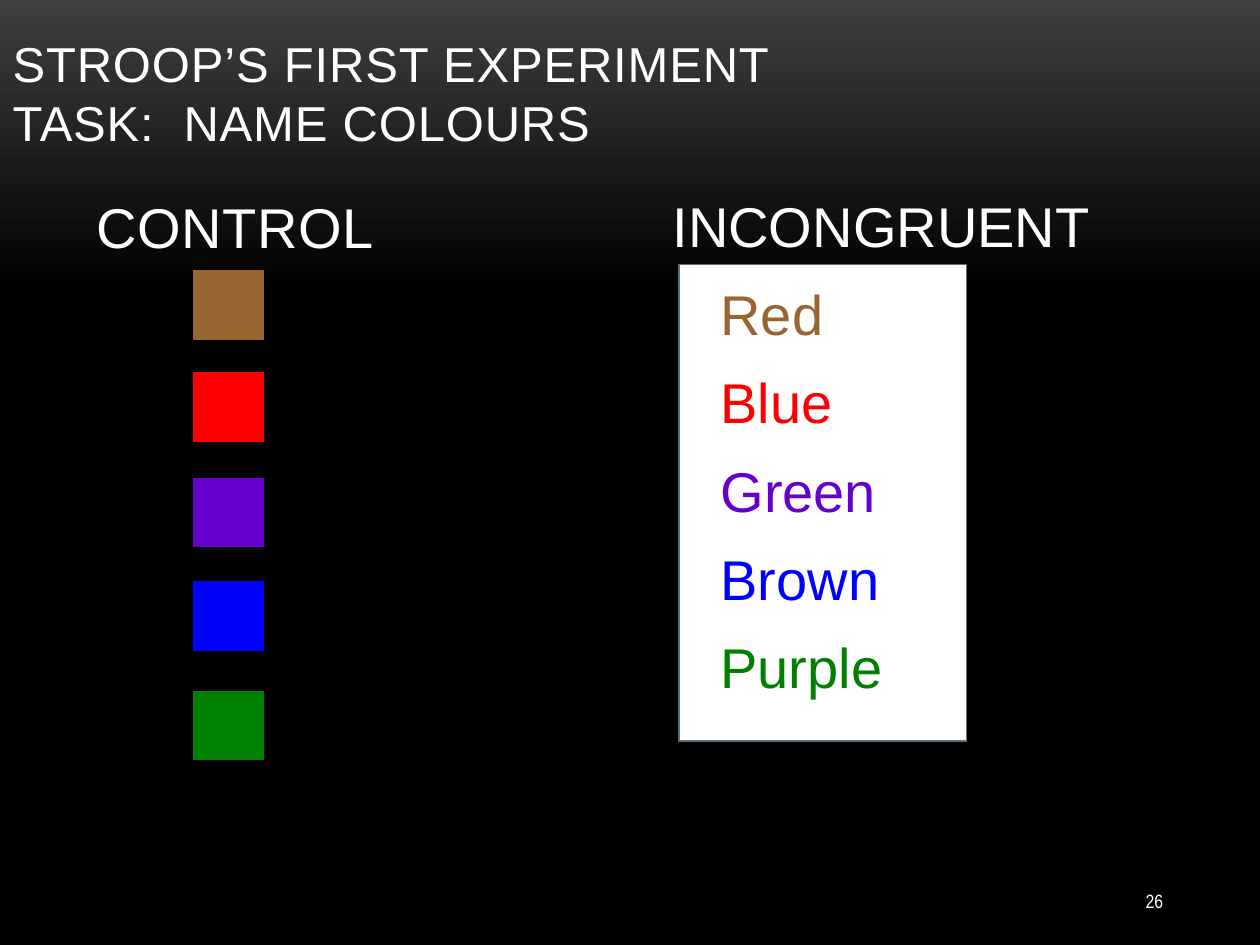
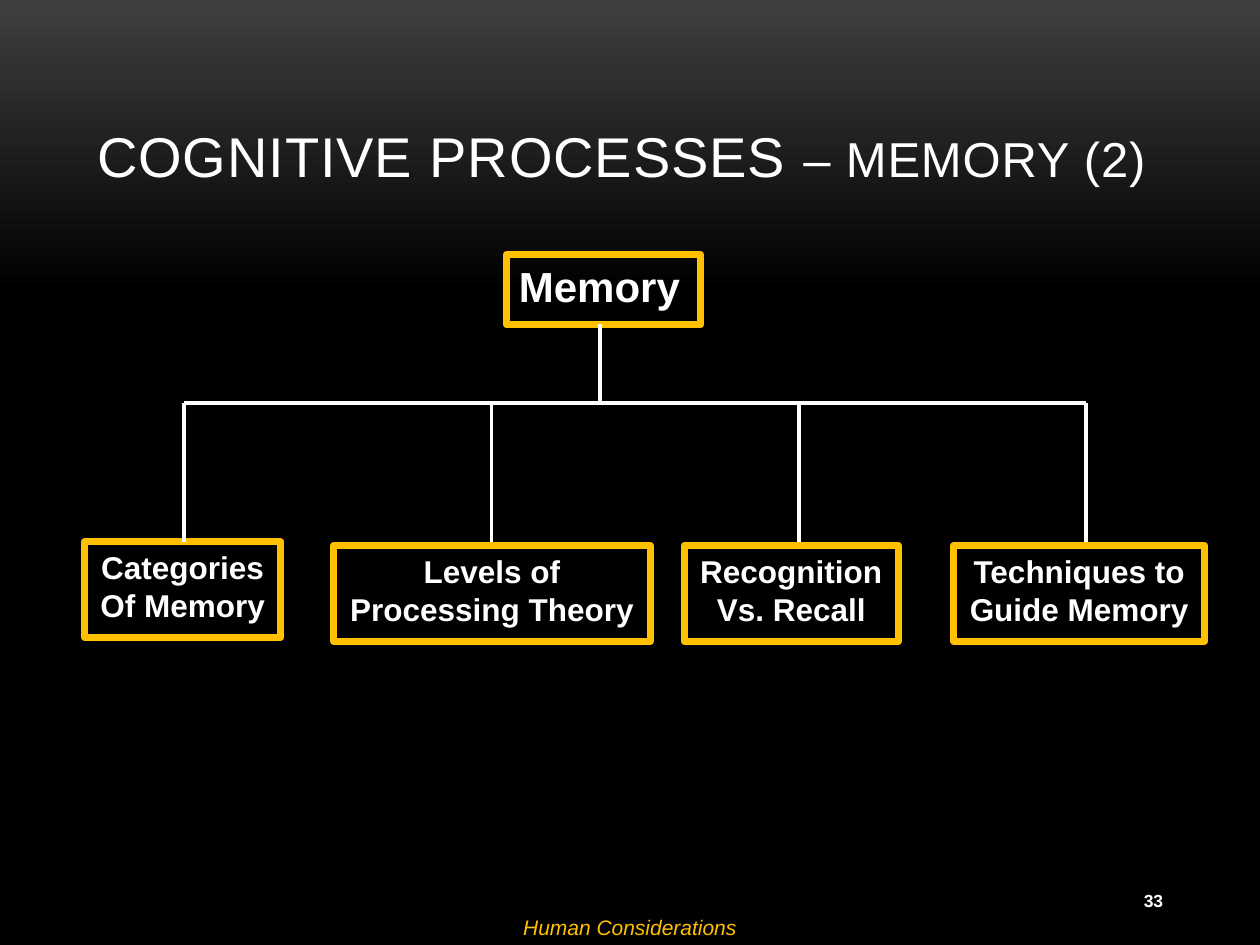
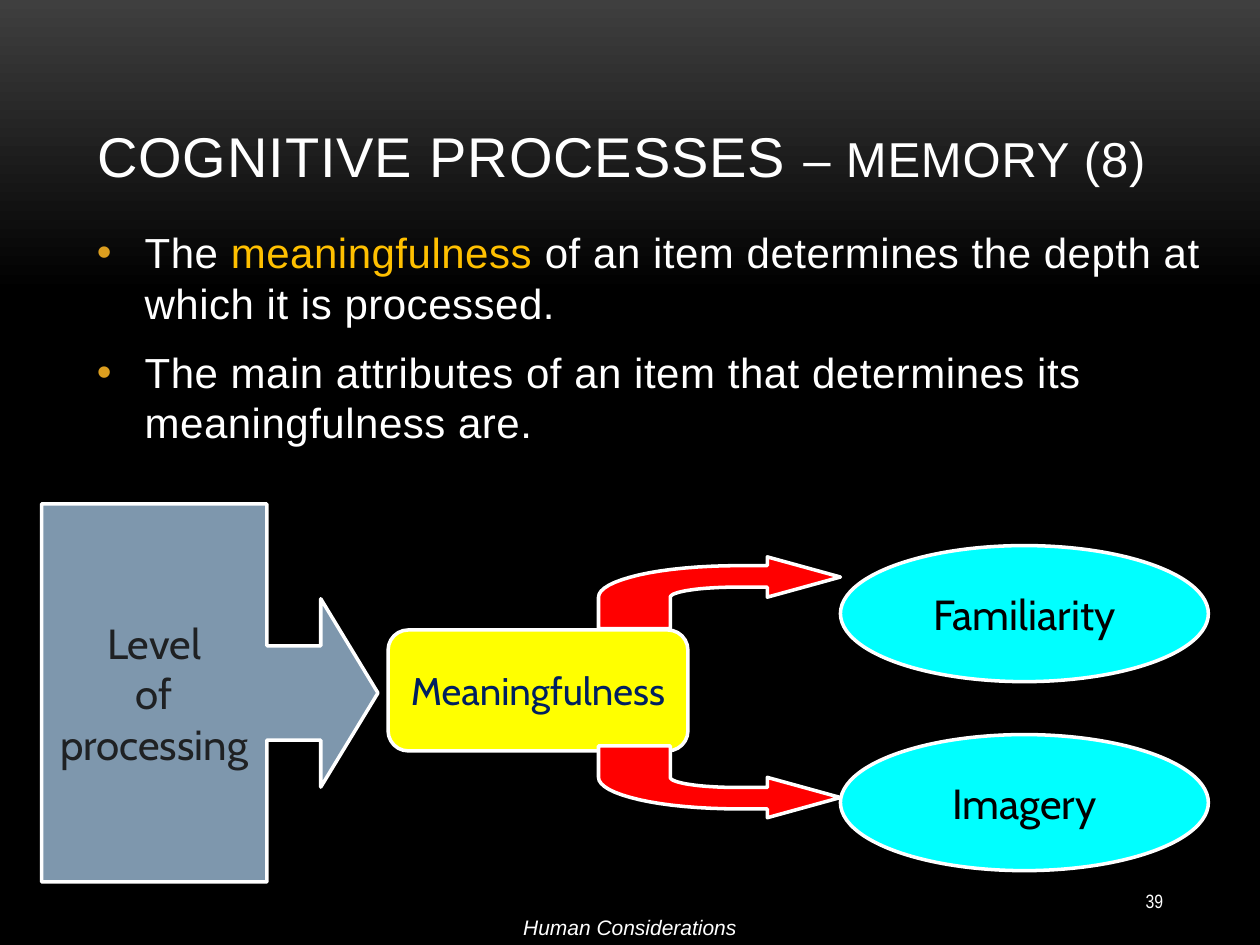
from dataclasses import dataclass
from math import cos, pi, sin
from typing import Optional

from lxml import etree
from pptx import Presentation
from pptx.dml.color import RGBColor
from pptx.enum.shapes import MSO_CONNECTOR, MSO_SHAPE
from pptx.enum.text import MSO_ANCHOR, MSO_AUTO_SIZE, PP_ALIGN
from pptx.oxml.ns import qn
from pptx.util import Inches, Pt

LEFT, CENTER, RIGHT = PP_ALIGN.LEFT, PP_ALIGN.CENTER, PP_ALIGN.RIGHT
TOP, MIDDLE, BOTTOM = MSO_ANCHOR.TOP, MSO_ANCHOR.MIDDLE, MSO_ANCHOR.BOTTOM
RECTANGLE = MSO_SHAPE.RECTANGLE
ROUNDED = MSO_SHAPE.ROUNDED_RECTANGLE
OVAL = MSO_SHAPE.OVAL
CALLOUT = MSO_SHAPE.RIGHT_ARROW_CALLOUT
STRAIGHT = MSO_CONNECTOR.STRAIGHT
TITLE_ONLY = 5

WHITE, BLACK, CHARCOAL = "FFFFFF", "000000", "3F3F3F"
GOLD, BULLET_GOLD = "FFC000", "DC9E1F"
BROWN, RED, PURPLE = "996633", "FF0000", "6600CC"
BLUE, GREEN = "0000FF", "008000"
YELLOW, CYAN, STEEL, NAVY, INK = "FFFF00", "00FFFF", "7E97AD", "002060", "1F2123"
PANEL_LINE = "5D7080"
INDENT = 0.38


@dataclass(frozen=True)
class Box:
    left: float
    top: float
    width: float
    height: float

    def lengths(self) -> tuple:
        return tuple(Inches(v) for v in (self.left, self.top, self.width, self.height))


@dataclass(frozen=True)
class Piece:
    text: str
    size: float
    color: str = WHITE
    font: str = "Arial"
    bold: bool = False
    italic: bool = False
    spacing: float = 0


@dataclass(frozen=True)
class Block:
    pieces: tuple
    align: PP_ALIGN = LEFT
    before: float = 0
    after: float = 0
    indent: float = 0
    hanging: float = 0
    bullet: Optional[str] = None


@dataclass(frozen=True)
class Topic:
    box: Box
    lines: tuple
    stem: float


@dataclass(frozen=True)
class Attribute:
    name: str
    top: float
    arrow_base: float
    direction: int


TITLE_BOX = Box(0.67, 0.3, 8.82, 1.25)
NUMBER_BOX = Box(8.25, 6.95, 1.08, 0.4)
FOOTER_BOX = Box(0, 7.21, 10, 0.3)

SWATCHES = ((BROWN, 2.15), (RED, 2.96), (PURPLE, 3.8), (BLUE, 4.62), (GREEN, 5.49))
COLOR_WORDS = (("Red", BROWN), ("Blue", RED), ("Green", PURPLE),
               ("Brown", BLUE), ("Purple", GREEN))

BRANCH_Y, STEM_END = 3.2, 4.3
TOPICS = (
    Topic(Box(0.67, 4.3, 1.56, 0.76), ("Categories", "Of Memory"), 1.46),
    Topic(Box(2.65, 4.33, 2.51, 0.76), ("Levels of", "Processing Theory"), 3.9),
    Topic(Box(5.43, 4.33, 1.7, 0.76), ("Recognition", "Vs. Recall"), 6.34),
    Topic(Box(7.57, 4.33, 1.99, 0.76), ("Techniques to", "Guide Memory"), 8.62),
)
ATTRIBUTES = (
    Attribute("Familiarity", 4.33, 4.99, -1),
    Attribute("Imagery", 5.83, 5.92, 1),
)


def rgb(value: str) -> RGBColor:
    return RGBColor.from_string(value)


def add_bullet(paragraph, color: str) -> None:
    properties = paragraph._p.get_or_add_pPr()
    bullet_color = etree.SubElement(properties, qn("a:buClr"))
    etree.SubElement(bullet_color, qn("a:srgbClr"), val=color)
    etree.SubElement(properties, qn("a:buFont"), typeface="Arial")
    etree.SubElement(properties, qn("a:buChar"), char="•")


def write_block(paragraph, block: Block) -> None:
    if block.indent:
        properties = paragraph._p.get_or_add_pPr()
        properties.set("marL", str(Inches(block.indent)))
        properties.set("indent", str(-Inches(block.hanging)))
    if block.bullet:
        add_bullet(paragraph, block.bullet)
    paragraph.alignment = block.align
    paragraph.space_before = Pt(block.before)
    paragraph.space_after = Pt(block.after)
    for piece in block.pieces:
        for index, line in enumerate(piece.text.split("\n")):
            if index:
                paragraph.add_line_break()
            run = paragraph.add_run()
            run.text = line
            run.font.name = piece.font
            run.font.size = Pt(piece.size)
            run.font.bold = piece.bold
            run.font.italic = piece.italic
            run.font.color.rgb = rgb(piece.color)
            if piece.spacing:
                run._r.get_or_add_rPr().set("spc", str(round(piece.spacing * 100)))


def write_text(shape, blocks: tuple, *, anchor: MSO_ANCHOR = TOP) -> None:
    frame = shape.text_frame
    frame.word_wrap = True
    frame.auto_size = MSO_AUTO_SIZE.NONE
    frame.vertical_anchor = anchor
    for index, block in enumerate(blocks):
        paragraph = frame.add_paragraph() if index else frame.paragraphs[0]
        write_block(paragraph, block)


def add_text(slide, box: Box, *blocks: Block, anchor: MSO_ANCHOR = TOP) -> None:
    write_text(slide.shapes.add_textbox(*box.lengths()), blocks, anchor=anchor)


def paint(shape, fill: Optional[str], line: str, width: float) -> None:
    shape.shadow.inherit = False
    if fill:
        shape.fill.solid()
        shape.fill.fore_color.rgb = rgb(fill)
    else:
        shape.fill.background()
    shape.line.color.rgb = rgb(line)
    shape.line.width = Pt(width)


def add_figure(slide, kind: MSO_SHAPE, box: Box, *blocks: Block,
               fill: Optional[str] = None, line: str = WHITE, width: float = 2,
               anchor: MSO_ANCHOR = MIDDLE, adjustments: tuple = ()) -> None:
    shape = slide.shapes.add_shape(kind, *box.lengths())
    for index, value in enumerate(adjustments):
        shape.adjustments[index] = value
    paint(shape, fill, line, width)
    write_text(shape, blocks, anchor=anchor)


def add_line(slide, x1: float, y1: float, x2: float, y2: float) -> None:
    ends = (Inches(v) for v in (x1, y1, x2, y2))
    connector = slide.shapes.add_connector(STRAIGHT, *ends)
    connector.line.color.rgb = rgb(WHITE)
    connector.line.width = Pt(2)
    etree.SubElement(connector._element.spPr, qn("a:effectLst"))


def quarter_arc(center_x: float, rise: float, radius_x: float, radius_y: float) -> list:
    angles = (step * pi / 32 for step in range(17))
    return [(center_x - radius_x * sin(angle), rise + radius_y * cos(angle))
            for angle in angles]


def add_bent_arrow(slide, base: float, direction: int) -> None:
    outer = quarter_arc(5.85, 0.25, 1.1, 0.25)
    inner = quarter_arc(5.85, 0.25, 0.53, 0.08)
    outline = [(6.67, 0.41), (6.09, 0.57), (6.09, 0.5), *outer, (4.75, 0),
               (5.32, 0), *reversed(inner), (6.09, 0.33), (6.09, 0.25)]
    points = [(Inches(x), Inches(base + direction * rise)) for x, rise in outline]
    builder = slide.shapes.build_freeform(*points[0])
    builder.add_line_segments(points[1:], close=True)
    paint(builder.convert_to_shape(), RED, WHITE, 2)


def set_background(presentation) -> None:
    fill = presentation.slide_master.background.fill
    fill.gradient()
    fill.gradient_angle = 270
    for stop, color, position in zip(fill.gradient_stops, (CHARCOAL, BLACK), (0, 0.31)):
        stop.color.rgb = rgb(color)
        stop.position = position


def start_slide(presentation, box: Box, number: Piece, *title: Piece):
    slide = presentation.slides.add_slide(presentation.slide_layouts[TITLE_ONLY])
    placeholder = slide.shapes.title
    placeholder.left, placeholder.top, placeholder.width, placeholder.height = box.lengths()
    write_text(placeholder, (Block(title),), anchor=BOTTOM)
    add_text(slide, NUMBER_BOX, Block((number,), align=RIGHT), anchor=MIDDLE)
    return slide


def start_memory_slide(presentation, part: int, number: Piece, footer_color: str):
    slide = start_slide(presentation, TITLE_BOX, number,
                        Piece("COGNITIVE PROCESSES ", 32, spacing=0.5),
                        Piece(f"– MEMORY ({part})", 28, spacing=0.5))
    footer = Piece("Human Considerations", 12, footer_color, italic=True)
    add_text(slide, FOOTER_BOX, Block((footer,), align=CENTER))
    return slide


def build_stroop_slide(presentation) -> None:
    slide = start_slide(
        presentation, Box(0, 0, 10, 1.25), Piece("26", 11, font="Arial Narrow"),
        Piece("STROOP’S FIRST EXPERIMENT\nTASK:  NAME COLOURS", 28, spacing=0.5))
    add_figure(slide, RECTANGLE, Box(5.39, 2.1, 2.28, 3.78),
               fill=WHITE, line=PANEL_LINE, width=0.85)
    add_text(slide, Box(0.67, 1.48, 4.02, 4.56),
             Block((Piece("CONTROL", 32, spacing=0.3),), after=6))
    words = (Block((Piece(word, 32, color),), before=6, after=6, indent=INDENT)
             for word, color in COLOR_WORDS)
    add_text(slide, Box(5.24, 1.47, 4.17, 4.57),
             Block((Piece("INCONGRUENT", 32),), after=6), *words)
    for color, top in SWATCHES:
        add_figure(slide, RECTANGLE, Box(1.54, top, 0.55, 0.54),
                   fill=color, line=color, width=0.75)


def build_memory_tree_slide(presentation) -> None:
    slide = start_memory_slide(presentation, 2, Piece("33", 10, bold=True), GOLD)
    add_figure(slide, RECTANGLE, Box(4.02, 2.02, 1.54, 0.56),
               Block((Piece("Memory", 24, bold=True),)),
               line=GOLD, width=4, anchor=TOP)
    add_line(slide, 4.76, 2.57, 4.76, BRANCH_Y)
    add_line(slide, TOPICS[0].stem, BRANCH_Y, TOPICS[-1].stem, BRANCH_Y)
    for topic in TOPICS:
        blocks = (Block((Piece(line, 18, bold=True),), align=CENTER)
                  for line in topic.lines)
        add_figure(slide, RECTANGLE, topic.box, *blocks,
                   line=GOLD, width=4, anchor=TOP)
        add_line(slide, topic.stem, BRANCH_Y, topic.stem, STEM_END)


def cabin_block(text: str, size: float, color: str) -> Block:
    return Block((Piece(text, size, color, font="Cabin"),), align=CENTER)


def build_meaningfulness_slide(presentation) -> None:
    slide = start_memory_slide(presentation, 8,
                               Piece("39", 11, font="Arial Narrow"), WHITE)
    statements = (
        (("The ", WHITE), ("meaningfulness ", GOLD),
         ("of an item determines the depth at which it is processed.", WHITE)),
        (("The main attributes of an item that determines its meaningfulness are.",
          WHITE),),
    )
    blocks = (Block(tuple(Piece(text, 24, color, spacing=0.3) for text, color in statement),
                    before=4.8 if index else 0, after=6,
                    indent=INDENT, hanging=INDENT, bullet=BULLET_GOLD)
              for index, statement in enumerate(statements))
    add_text(slide, Box(0.67, 1.75, 9.06, 2.24), *blocks)
    add_figure(slide, ROUNDED, Box(3.08, 5, 2.38, 0.96),
               cabin_block("Meaningfulness", 22, NAVY), fill=YELLOW)
    for attribute in ATTRIBUTES:
        add_bent_arrow(slide, attribute.arrow_base, attribute.direction)
        add_figure(slide, OVAL, Box(6.67, attribute.top, 2.92, 1.08),
                   cabin_block(attribute.name, 24, BLACK), fill=CYAN)
    levels = (cabin_block(word, 24, INK) for word in ("Level", "of", "processing"))
    add_figure(slide, CALLOUT, Box(0.33, 4, 2.67, 3), *levels,
               fill=STEEL, adjustments=(0.28, 0.28, 0.17, 0.67))


def main() -> None:
    presentation = Presentation()
    presentation.slide_width = Inches(10)
    presentation.slide_height = Inches(7.5)
    set_background(presentation)
    build_stroop_slide(presentation)
    build_memory_tree_slide(presentation)
    build_meaningfulness_slide(presentation)
    presentation.save("out.pptx")


if __name__ == "__main__":
    main()
